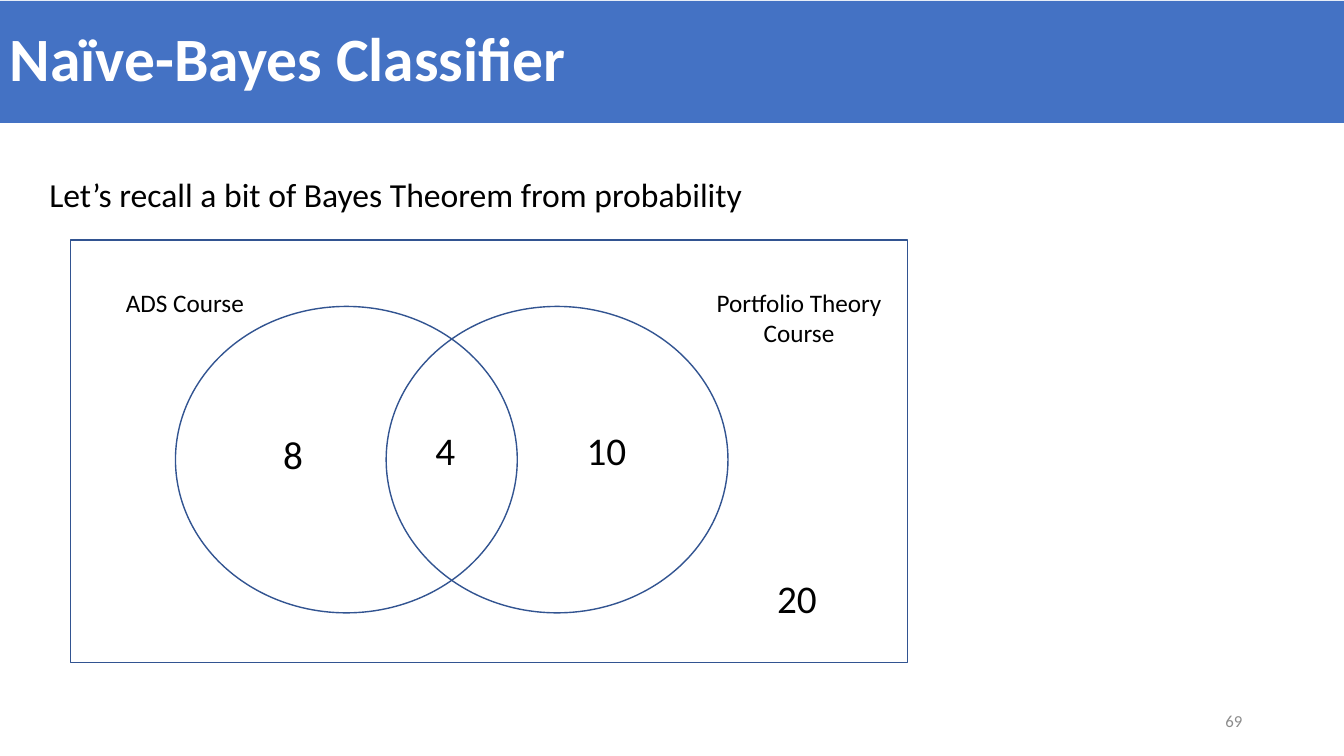
import pptx
import pptx.dml.color
import pptx.enum.shapes
import pptx.enum.text
import pptx.util

Inches = pptx.util.Inches
SHAPES = pptx.enum.shapes.MSO_SHAPE
ALIGN = pptx.enum.text.PP_ALIGN
ANCHOR = pptx.enum.text.MSO_ANCHOR

FONT = "Calibri"
BLUE = "4472C4"
OUTLINE = "325491"
BLACK = "000000"
WHITE = "FFFFFF"
GREY = "8C8C8C"


def color(value):
    return pptx.dml.color.RGBColor.from_string(value)


def write_text(shape, text, size, text_color=BLACK, anchor=ANCHOR.TOP,
               alignment=ALIGN.LEFT, line_spacing=1.0, bold=False):
    frame = shape.text_frame
    frame.word_wrap = True
    frame.vertical_anchor = anchor
    paragraph = frame.paragraphs[0]
    paragraph.text = text
    paragraph.alignment = alignment
    paragraph.line_spacing = line_spacing
    font_format = {"name": FONT, "size": pptx.util.Pt(size), "bold": bold}
    for name, value in font_format.items():
        setattr(paragraph.font, name, value)
    paragraph.font.color.rgb = color(text_color)


def add_text(slide, box, text, size, **text_format):
    shape = slide.shapes.add_textbox(*map(Inches, box))
    write_text(shape, text, size, **text_format)


def add_title_band(slide, box, text):
    band = slide.shapes.add_shape(SHAPES.RECTANGLE, *map(Inches, box))
    band.shadow.inherit = False
    band.fill.solid()
    band.fill.fore_color.rgb = color(BLUE)
    band.line.fill.background()
    write_text(band, text, 44, text_color=WHITE, anchor=ANCHOR.MIDDLE,
               line_spacing=0.9, bold=True)


def add_outline(slide, kind, box):
    shape = slide.shapes.add_shape(kind, *map(Inches, box))
    shape.shadow.inherit = False
    shape.fill.background()
    shape.line.color.rgb = color(OUTLINE)
    shape.line.width = pptx.util.Pt(1)


def main():
    presentation = pptx.Presentation()
    presentation.slide_width = Inches(13.33)
    presentation.slide_height = Inches(7.5)
    slide = presentation.slides.add_slide(presentation.slide_layouts[6])

    # Title, page number and introduction
    add_title_band(slide, (0, 0.01, 13.33, 1.21), "Naïve-Bayes Classifier")
    add_text(slide, (9.42, 6.95, 3, 0.4), "69", 12, text_color=GREY,
             anchor=ANCHOR.MIDDLE, alignment=ALIGN.RIGHT)
    add_text(slide, (0.39, 1.68, 8.31, 0.5),
             "Let’s recall a bit of Bayes Theorem from probability", 24)

    # Venn diagram: two sets inside the universe
    for left in (1.74, 3.83):
        add_outline(slide, SHAPES.OVAL, (left, 3.04, 3.39, 3.04))
    add_outline(slide, SHAPES.RECTANGLE, (0.7, 2.38, 8.3, 4.19))

    # Set names
    add_text(slide, (1.15, 2.8, 1.62, 0.4), "ADS Course", 18)
    add_text(slide, (6.85, 2.8, 2.15, 0.71), "Portfolio Theory Course", 18,
             alignment=ALIGN.CENTER)

    # Student counts in each region
    counts = [("8", 2.71, 4.22), ("4", 4.22, 4.18),
              ("10", 5.72, 4.18), ("20", 7.61, 5.65)]
    for count, left, top in counts:
        add_text(slide, (left, top, 0.66, 0.57), count, 28)

    presentation.save("out.pptx")


if __name__ == "__main__":
    main()
